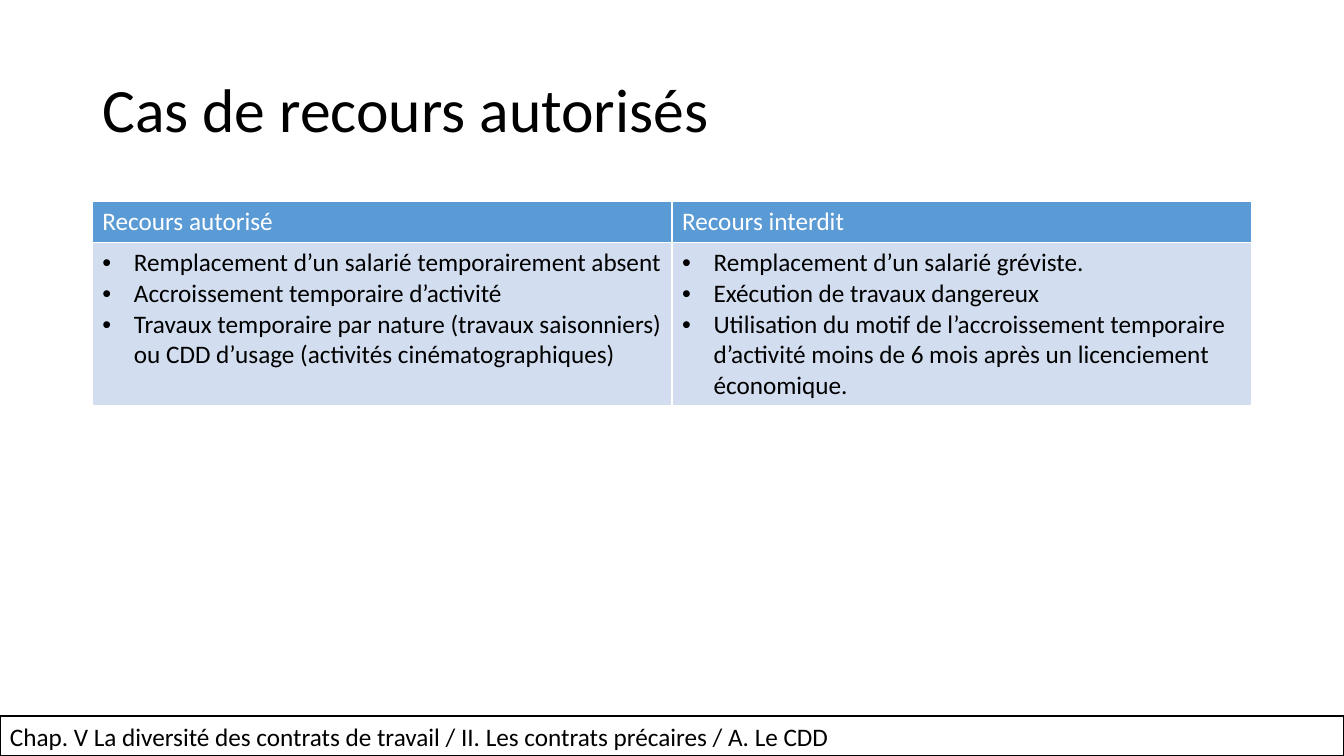
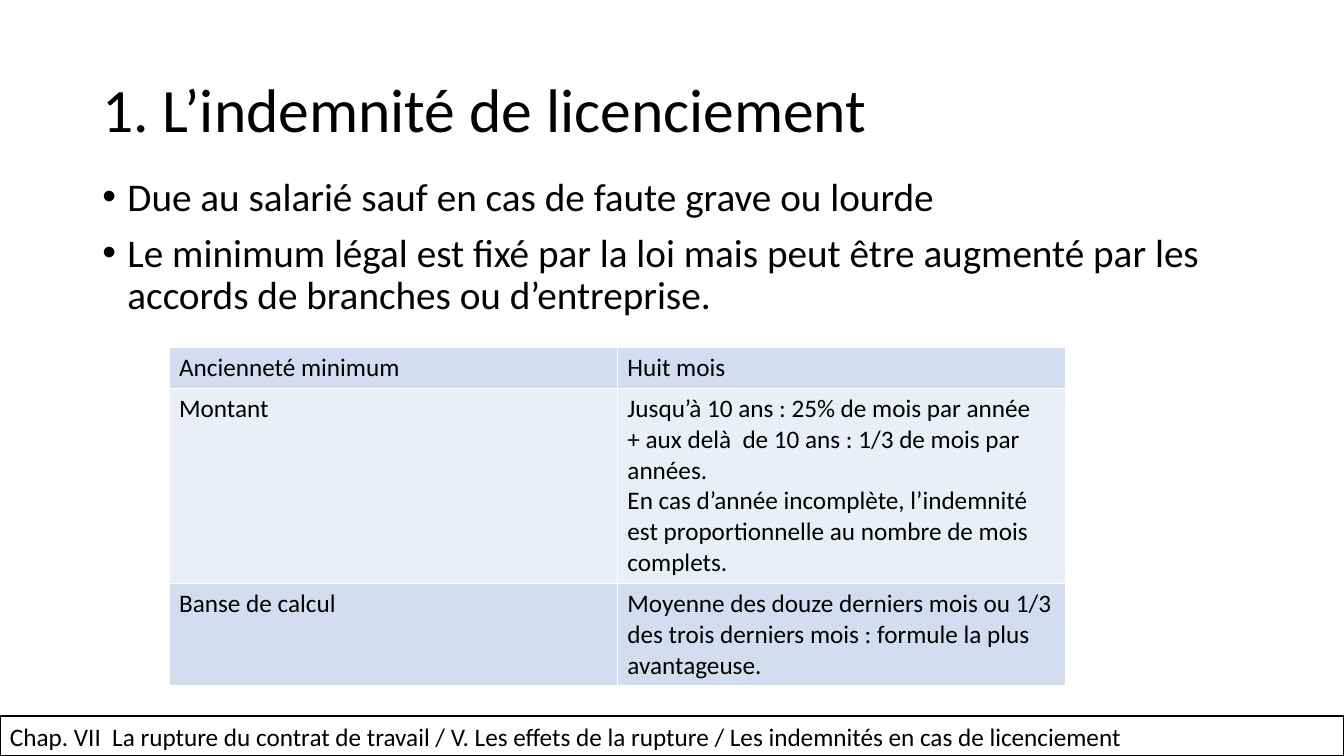
from lxml import etree
from pptx import Presentation
from pptx import util as u
from pptx.dml.color import RGBColor
from pptx.enum import shapes, text
from pptx.oxml import ns

PX = 9525  # EMU per px, 96 px to the inch
FONT = "Calibri"
COLORS = {
    "ink": "000000",
    "paper": "FFFFFF",
    "header": "5B9BD5",
    "band": "D2DEEF",
    "pale": "EAEFF7",
}
LEFT, WIDTH = 88, 1104
PAGE_WIDTH, PAGE_HEIGHT = 1280, 720
FOOTER_HEIGHT = 38

pages = [
    {
        "title": "Cas de recours autorisés",
        "body": [],
        "table": {
            "left": LEFT, "top": 192, "column": 552, "heights": [39, 155],
            "fills": ["header", "band"], "inks": ["paper", "ink"], "hangs": [0, 30],
            "rows": [
                [["Recours autorisé"], ["Recours interdit"]],
                [
                    [
                        "Remplacement d’un salarié temporairement absent",
                        "Accroissement temporaire d’activité",
                        "Travaux temporaire par nature (travaux saisonniers) ou CDD d’usage "
                        "(activités cinématographiques)",
                    ],
                    [
                        "Remplacement d’un salarié gréviste.",
                        "Exécution de travaux dangereux",
                        "Utilisation du motif de l’accroissement temporaire d’activité moins de "
                        "6 mois après un licenciement économique.",
                    ],
                ],
            ],
        },
        "footer": "Chap. V La diversité des contrats de travail / II. Les contrats précaires / "
                  "A. Le CDD",
    },
    {
        "title": "1. L’indemnité de licenciement",
        "body": [
            "Due au salarié sauf en cas de faute grave ou lourde",
            "Le minimum légal est fixé par la loi mais peut être augmenté par les accords de "
            "branches ou d’entreprise.",
        ],
        "table": {
            "left": 161, "top": 331, "column": 427, "heights": [39, 186, 97],
            "fills": ["band", "pale", "band"], "inks": ["ink"] * 3, "hangs": [0] * 3,
            "rows": [
                [["Ancienneté minimum"], ["Huit mois"]],
                [
                    ["Montant"],
                    [
                        "Jusqu’à 10 ans : 25% de mois par année",
                        "+ aux delà  de 10 ans : 1/3 de mois par années.",
                        "En cas d’année incomplète, l’indemnité est proportionnelle au nombre "
                        "de mois complets.",
                    ],
                ],
                [
                    ["Banse de calcul"],
                    ["Moyenne des douze derniers mois ou 1/3 des trois derniers mois : formule "
                     "la plus avantageuse."],
                ],
            ],
        },
        "footer": "Chap. VII  La rupture du contrat de travail / V. Les effets de la rupture / "
                  "Les indemnités en cas de licenciement",
    },
]


def write(frame, lines, size=18, color="ink", anchor=text.MSO_ANCHOR.TOP,
          spacing=1.0, before=0, hang=0):
    """Fill a text frame with one paragraph per line; hang > 0 adds bullets."""
    frame.word_wrap = True
    frame.vertical_anchor = anchor
    for index, line in enumerate(lines):
        para = frame.paragraphs[0] if index == 0 else frame.add_paragraph()
        para.alignment = text.PP_ALIGN.LEFT
        para.line_spacing = spacing
        para.space_before = u.Pt(before)
        span = para.add_run()
        span.text = line
        span.font.name = FONT
        span.font.size = u.Pt(size)
        span.font.bold = False
        span.font.color.rgb = RGBColor.from_string(COLORS[color])
        if hang:
            props = para._p.get_or_add_pPr()
            props.set("marL", str(hang * PX))
            props.set("indent", str(-hang * PX))
            etree.SubElement(props, ns.qn("a:buFont"), typeface="Arial")
            etree.SubElement(props, ns.qn("a:buChar"), char="•")


def paint_cell(cell, fill):
    """Give a cell its fill and thin white borders."""
    cell.fill.solid()
    cell.fill.fore_color.rgb = RGBColor.from_string(COLORS[fill])
    props = cell._tc.get_or_add_tcPr()
    for index, side in enumerate(["lnL", "lnR", "lnT", "lnB"]):
        line = etree.Element(ns.qn("a:" + side), w=str(u.Pt(1)))
        solid = etree.SubElement(line, ns.qn("a:solidFill"))
        etree.SubElement(solid, ns.qn("a:srgbClr"), val=COLORS["paper"])
        props.insert(index, line)


deck = Presentation()
deck.slide_width = PAGE_WIDTH * PX
deck.slide_height = PAGE_HEIGHT * PX

for content in pages:
    page = deck.slides.add_slide(deck.slide_layouts[6])

    # Title
    box = page.shapes.add_textbox(LEFT * PX, 38 * PX, WIDTH * PX, 139 * PX)
    write(box.text_frame, [content["title"]], size=44, spacing=0.9,
          anchor=text.MSO_ANCHOR.MIDDLE)

    # Bulleted body
    if content["body"]:
        box = page.shapes.add_textbox(LEFT * PX, 164 * PX, WIDTH * PX, 485 * PX)
        write(box.text_frame, content["body"], size=28, spacing=0.9, before=10, hang=24)

    # Table
    plan = content["table"]
    frame = page.shapes.add_table(
        len(plan["rows"]), 2, plan["left"] * PX, plan["top"] * PX,
        2 * plan["column"] * PX, sum(plan["heights"]) * PX)
    table = frame.table
    table.first_row = False
    table.horz_banding = False
    for column in table.columns:
        column.width = plan["column"] * PX
    for r, row in enumerate(plan["rows"]):
        table.rows[r].height = plan["heights"][r] * PX
        for c, lines in enumerate(row):
            cell = table.cell(r, c)
            paint_cell(cell, plan["fills"][r])
            write(cell.text_frame, lines, color=plan["inks"][r], hang=plan["hangs"][r])

    # Footer band
    band = page.shapes.add_shape(
        shapes.MSO_SHAPE.RECTANGLE, 0, (PAGE_HEIGHT - FOOTER_HEIGHT) * PX,
        PAGE_WIDTH * PX, FOOTER_HEIGHT * PX)
    band.shadow.inherit = False
    band.fill.solid()
    band.fill.fore_color.rgb = RGBColor.from_string(COLORS["paper"])
    band.line.color.rgb = RGBColor.from_string(COLORS["ink"])
    band.line.width = u.Pt(1)
    write(band.text_frame, [content["footer"]])

deck.save("out.pptx")
